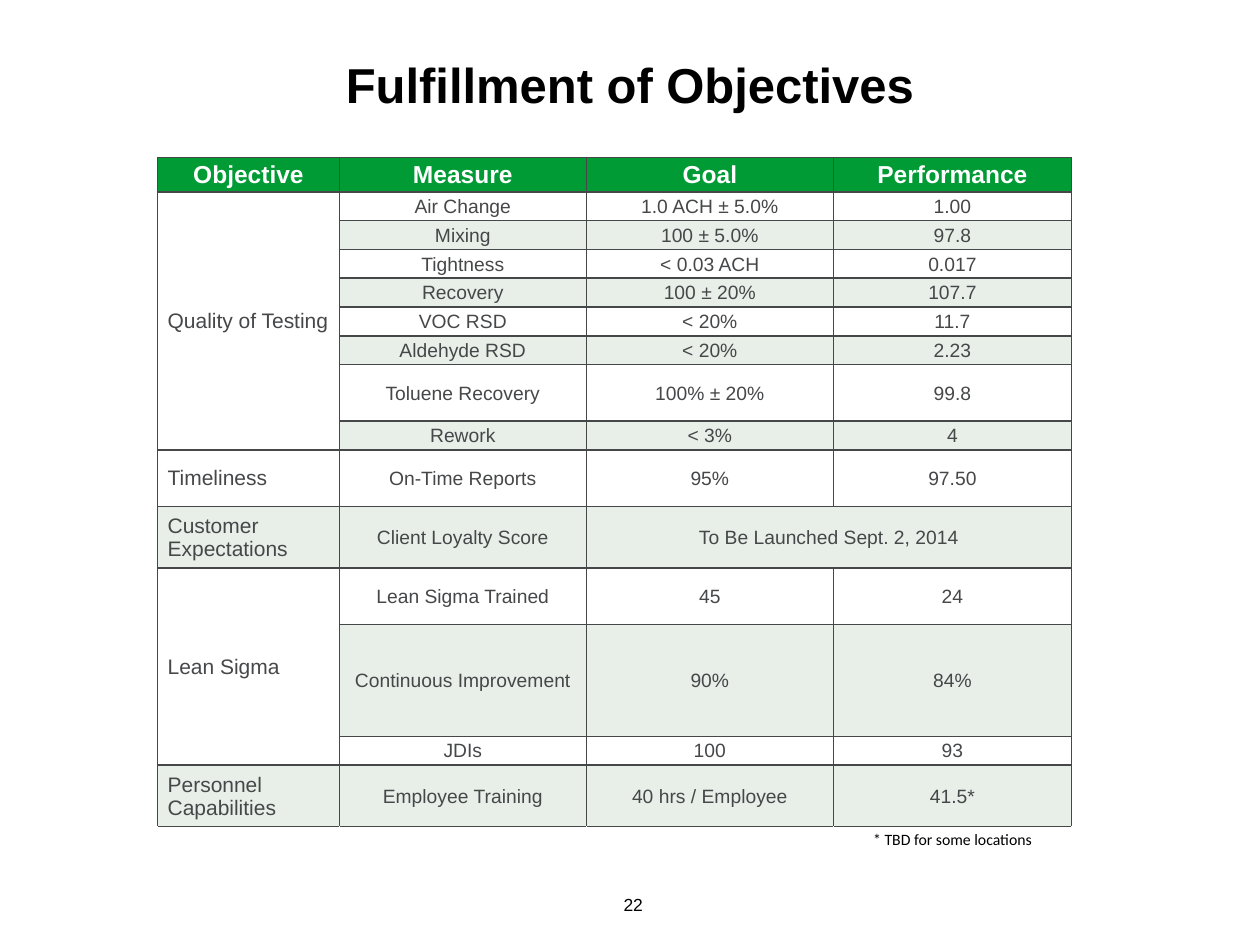
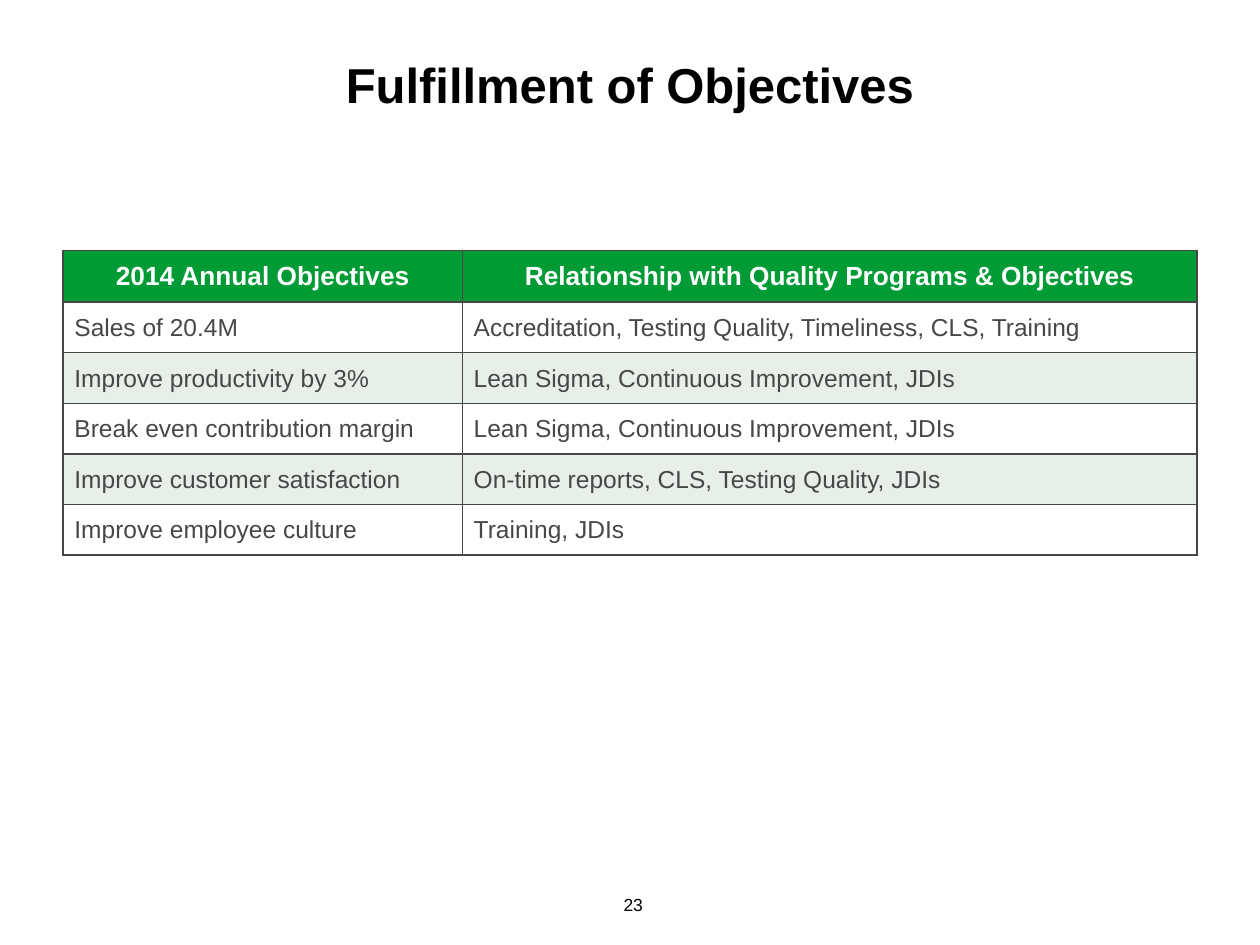
"""Build two slides that report how objectives were fulfilled."""
from lxml import etree
from pptx import Presentation
from pptx import util as u
from pptx.dml.color import RGBColor
from pptx.enum import text
from pptx.oxml.ns import qn

HUES = {"ink": "000000", "white": "FFFFFF", "head": "019B35",
        "band": "E7EFE8", "gray": "464749"}
LEFT, MID, RIGHT = text.PP_ALIGN.LEFT, text.PP_ALIGN.CENTER, text.PP_ALIGN.RIGHT
TITLE = "Fulfillment of Objectives"

GOALS = [
    ("Objective", "Measure", "Goal", "Performance"),
    ("Quality of Testing", "Air Change", "1.0 ACH ± 5.0%", "1.00"),
    ("", "Mixing", "100 ± 5.0%", "97.8"),
    ("", "Tightness", "< 0.03 ACH", "0.017"),
    ("", "Recovery", "100 ± 20%", "107.7"),
    ("", "VOC RSD", "< 20%", "11.7"),
    ("", "Aldehyde RSD", "< 20%", "2.23"),
    ("", "Toluene Recovery", "100% ± 20%", "99.8"),
    ("", "Rework", "< 3%", "4"),
    ("Timeliness", "On-Time Reports", "95%", "97.50"),
    ("Customer Expectations", "Client Loyalty Score",
     "To Be Launched Sept. 2, 2014", ""),
    ("Lean Sigma", "Lean Sigma Trained", "45", "24"),
    ("", "Continuous Improvement", "90%", "84%"),
    ("", "JDIs", "100", "93"),
    ("Personnel Capabilities", "Employee Training", "40 hrs / Employee", "41.5*"),
    ("", "", "", "* TBD for some locations"),
]
LINKS = [
    ("2014 Annual Objectives", "Relationship with Quality Programs & Objectives"),
    ("Sales of 20.4M", "Accreditation, Testing Quality, Timeliness, CLS, Training"),
    ("Improve productivity by 3%", "Lean Sigma, Continuous Improvement, JDIs"),
    ("Break even contribution margin", "Lean Sigma, Continuous Improvement, JDIs"),
    ("Improve customer satisfaction", "On-time reports, CLS, Testing Quality, JDIs"),
    ("Improve employee culture", "Training, JDIs"),
]


def style(frame, words, size, hue, align, bold=False, face="Arial"):
    """Write words into a text frame and format them."""
    frame.text = words
    para = frame.paragraphs[0]
    para.alignment = align
    for run in para.runs:
        font = run.font
        font.name, font.size, font.bold = face, u.Pt(size), bold
        font.color.rgb = RGBColor.from_string(HUES[hue])
    if not words:
        para._p.get_or_add_endParaRPr().set("sz", str(size * 100))


def label(slide, box, words, size, align, anchor, bold=False):
    """Add a text box at (left, top, width, height) in centimetres."""
    frame = slide.shapes.add_textbox(*map(u.Cm, box)).text_frame
    frame.word_wrap = True
    frame.vertical_anchor = anchor
    style(frame, words, size, "ink", align, bold)


def edge(cell, sides):
    """Draw one-point gray lines on the given sides of a cell."""
    props = cell._tc.get_or_add_tcPr()
    for side in sides:
        line = etree.SubElement(props, qn("a:ln" + side), w="12700")
        fill = etree.SubElement(line, qn("a:solidFill"))
        etree.SubElement(fill, qn("a:srgbClr"), val=HUES["gray"])


def paint(cell, hue):
    """Fill a cell with a colour, or leave it clear."""
    if hue:
        cell.fill.solid()
        cell.fill.fore_color.rgb = RGBColor.from_string(HUES[hue])
    else:
        cell.fill.background()


def pad(cell, left):
    """Set the tight margins of a cell and centre it vertically."""
    cell.margin_left = u.Cm(left)
    cell.margin_right = cell.margin_top = u.Cm(0.02)
    cell.margin_bottom = 0
    cell.vertical_anchor = text.MSO_ANCHOR.MIDDLE


def grid(slide, spot, cols, rows, data, sizes, flush, inset, note=False):
    """Add a banded table; the first flush columns are left-aligned."""
    span = map(u.Cm, (*spot, sum(cols), sum(rows)))
    table = slide.shapes.add_table(len(rows), len(cols), *span).table
    table.horz_banding = table.first_row = False
    for col, width in zip(table.columns, cols):
        col.width = u.Cm(width)
    for row, height in zip(table.rows, rows):
        row.height = u.Cm(height)
    for r, line in enumerate(data):
        last = note and r == len(data) - 1
        for c, words in enumerate(line):
            cell = table.cell(r, c)
            side = r > 0 and c < flush and not last
            pad(cell, inset if side else 0.02)
            edge(cell, "T" if last else "LRTB")
            if last:
                paint(cell, None)
                style(cell.text_frame, words, 9, "ink", MID, face="Calibri")
            elif r == 0:
                paint(cell, "head")
                style(cell.text_frame, words, sizes[0], "white", MID, True)
            else:
                paint(cell, None if r % 2 else "band")
                style(cell.text_frame, words, sizes[1 if side else 2],
                      "gray", LEFT if side else MID)
    return table


def page(deck, number):
    """Add a slide with the shared title and its page number."""
    slide = deck.slides.add_slide(deck.slide_layouts[6])
    label(slide, (0, 0.97, 25.4, 2.2), TITLE, 28, MID, text.MSO_ANCHOR.TOP, True)
    label(slide, (11.43, 17.73, 1.78, 1.02), str(number), 10, RIGHT,
          text.MSO_ANCHOR.MIDDLE)
    return slide


def main():
    """Build and save the deck."""
    deck = Presentation()
    deck.slide_width, deck.slide_height = u.Cm(25.4), u.Cm(19.05)

    low, mid, high = 0.58, 1.14, 1.24
    rows = [0.69, *[low] * 6, mid, low, mid, high, mid, 2.26, low, high, 0.51]
    table = grid(page(deck, 22), (3.18, 3.18), (3.66, 4.98, 4.98, 4.8), rows,
                 GOALS, (14, 12, 11), 1, 0.2, note=True)
    for top, left, end, right in ((1, 0, 8, 0), (10, 2, 10, 3), (11, 0, 13, 0)):
        table.cell(top, left).merge(table.cell(end, right))

    grid(page(deck, 23), (1.27, 5.05), (8.05, 14.81), [1.04] + [1.02] * 5,
         LINKS, (15, 14, 14), 2, 0.23)
    deck.save("out.pptx")


if __name__ == "__main__":
    main()
